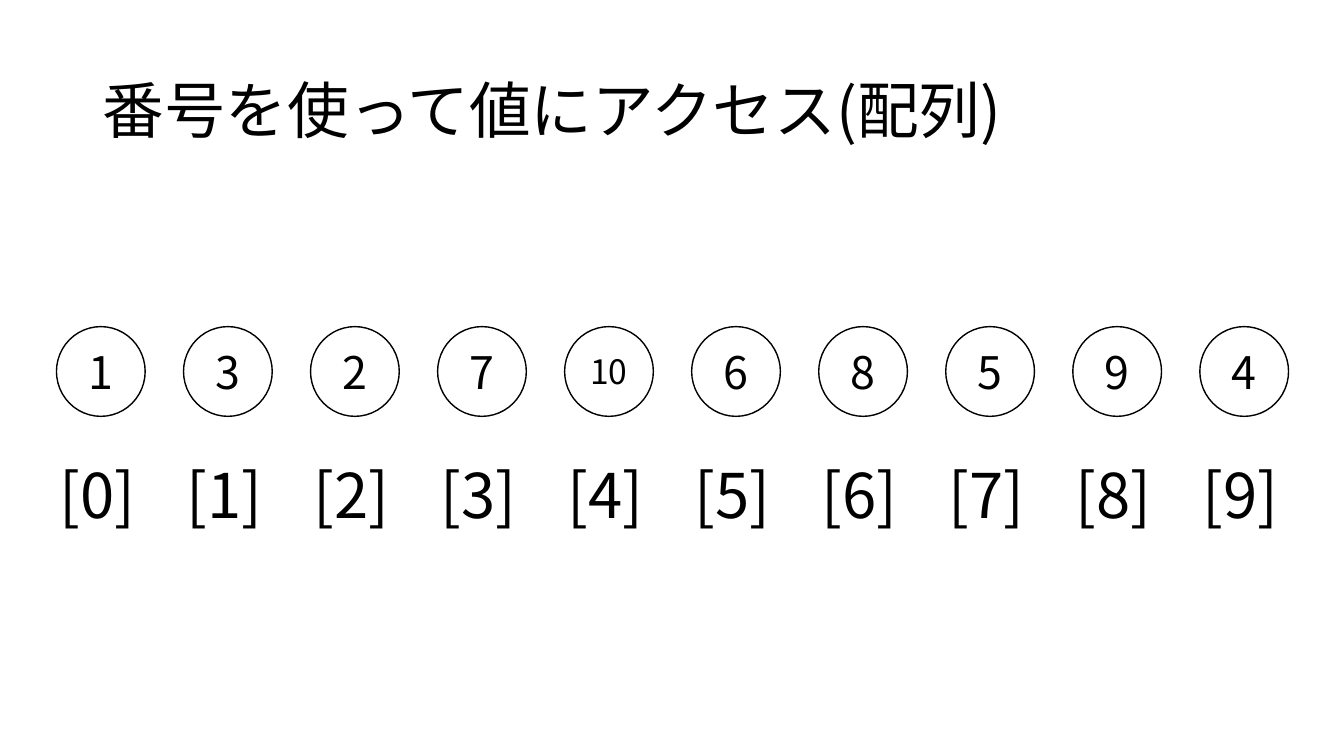
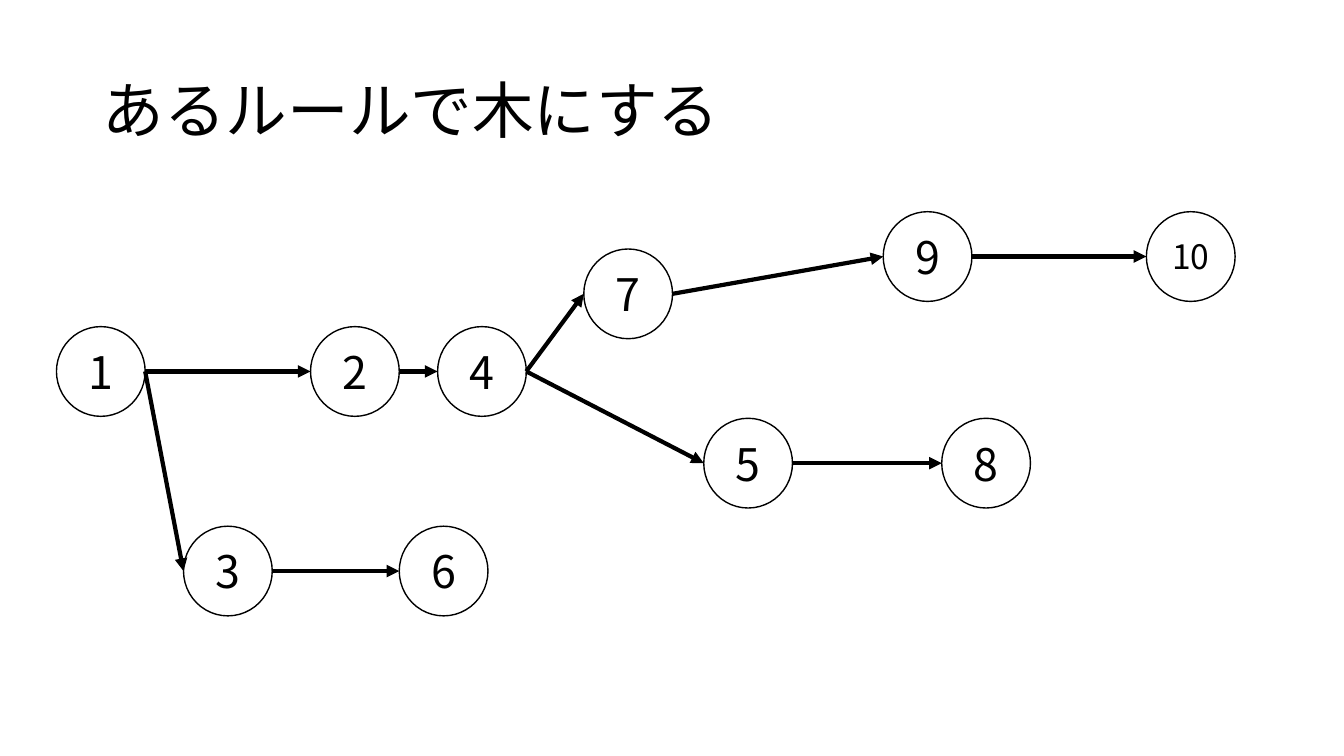
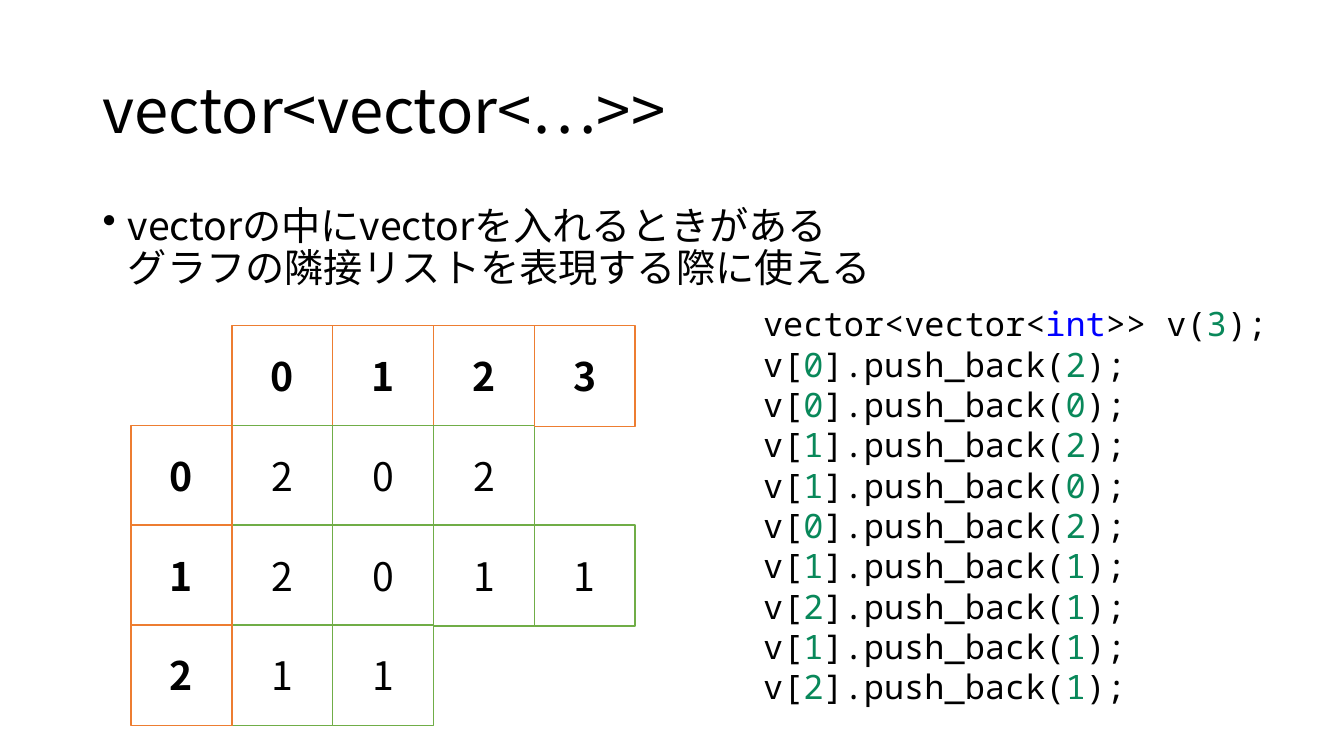
"""Builds three slides on arrays, trees and nested vectors."""
from dataclasses import dataclass

from pptx import Presentation
from pptx.dml.color import RGBColor
from pptx.enum.shapes import MSO_CONNECTOR, MSO_SHAPE
from pptx.enum.text import MSO_ANCHOR, PP_ALIGN
from pptx.oxml.xmlchemy import OxmlElement
from pptx.presentation import Presentation as Deck
from pptx.shapes.base import BaseShape
from pptx.slide import Slide
from pptx.util import Inches, Pt

BLACK = RGBColor(0x00, 0x00, 0x00)
WHITE = RGBColor(0xFF, 0xFF, 0xFF)
ORANGE = RGBColor(0xED, 0x7D, 0x31)
GREEN = RGBColor(0x70, 0xAD, 0x47)
KEYWORD_BLUE = RGBColor(0x00, 0x00, 0xFF)
NUMBER_GREEN = RGBColor(0x09, 0x88, 0x5A)

SANS = "Noto Sans CJK JP"
MONO = "Noto Sans Mono"

NODE_WIDTH, NODE_HEIGHT = 0.88, 0.89
ARRAY_LEFT, ARRAY_TOP, ARRAY_STEP = 0.56, 3.24, 1.26
GRID_LEFT, GRID_TOP = 1.3, 3.23
CELL_SIZE, ROW_STEP = 1.0, 0.99


@dataclass(frozen=True)
class Area:
    left: float
    top: float
    width: float
    height: float

    def lengths(self) -> tuple[Inches, Inches, Inches, Inches]:
        return Inches(self.left), Inches(self.top), Inches(self.width), Inches(self.height)


@dataclass(frozen=True)
class Node:
    value: int
    left: float
    top: float

    @property
    def middle(self) -> float:
        return self.top + NODE_HEIGHT / 2


@dataclass(frozen=True)
class Span:
    text: str
    color: RGBColor = BLACK


TITLE_AREA = Area(0.92, 0.4, 11.5, 1.45)
BULLET_AREA = Area(0.92, 2, 8.98, 4.76)
CODE_AREA = Area(7.47, 2.96, 5.43, 4.14)

ARRAY_VALUES = (1, 3, 2, 7, 10, 6, 8, 5, 9, 4)
TREE_NODES = (
    Node(1, 0.56, 3.24),
    Node(3, 1.82, 5.22),
    Node(2, 3.08, 3.24),
    Node(10, 11.37, 2.1),
    Node(7, 5.79, 2.47),
    Node(8, 9.34, 4.15),
    Node(4, 4.34, 3.24),
    Node(5, 6.98, 4.15),
    Node(6, 3.96, 5.22),
    Node(9, 8.76, 2.1),
)
TREE_EDGES = ((1, 3), (1, 2), (2, 4), (4, 7), (3, 6), (4, 5), (5, 8), (7, 9), (9, 10))
VECTOR_ROWS = ((2, 0, 2), (2, 0, 1, 1), (1, 1))
PUSHES = ((0, 2), (0, 0), (1, 2), (1, 0), (0, 2), (1, 1), (2, 1), (1, 1), (2, 1))


def format_text(shape: BaseShape, size: float, name: str = SANS, bold: bool = False) -> None:
    for paragraph in shape.text_frame.paragraphs:
        for run in paragraph.runs:
            run.font.size = Pt(size)
            run.font.bold = bold
            run.font.color.rgb = BLACK
            run.font.name = name
            east_asian = OxmlElement("a:ea")
            east_asian.set("typeface", name)
            run.font._element.append(east_asian)


def add_text(page: Slide, area: Area, text: str, size: float,
             anchor: MSO_ANCHOR = MSO_ANCHOR.TOP) -> BaseShape:
    box = page.shapes.add_textbox(*area.lengths())
    box.text_frame.word_wrap = True
    box.text_frame.vertical_anchor = anchor
    box.text_frame.text = text
    format_text(box, size)
    return box


def add_page(deck: Deck, title: str) -> Slide:
    page = deck.slides.add_slide(deck.slide_layouts[6])
    box = add_text(page, TITLE_AREA, title, 44, MSO_ANCHOR.MIDDLE)
    box.text_frame.paragraphs[0].line_spacing = 0.9
    return page


def add_outlined(page: Slide, kind: MSO_SHAPE, area: Area, text: str, size: float,
                 outline: RGBColor, bold: bool = False) -> None:
    shape = page.shapes.add_shape(kind, *area.lengths())
    shape.shadow.inherit = False
    shape.fill.solid()
    shape.fill.fore_color.rgb = WHITE
    shape.line.color.rgb = outline
    shape.line.width = Pt(1)
    shape.text_frame.text = text
    shape.text_frame.vertical_anchor = MSO_ANCHOR.MIDDLE
    shape.text_frame.paragraphs[0].alignment = PP_ALIGN.CENTER
    format_text(shape, size, bold=bold)


def add_node(page: Slide, node: Node) -> None:
    area = Area(node.left, node.top, NODE_WIDTH, NODE_HEIGHT)
    size = 32 if node.value < 10 else 24
    add_outlined(page, MSO_SHAPE.OVAL, area, str(node.value), size, BLACK)


def add_arrow(page: Slide, parent: Node, child: Node) -> None:
    arrow = page.shapes.add_connector(
        MSO_CONNECTOR.STRAIGHT,
        Inches(parent.left + NODE_WIDTH), Inches(parent.middle),
        Inches(child.left), Inches(child.middle),
    )
    arrow.line.color.rgb = BLACK
    arrow.line.width = Pt(3)
    head = OxmlElement("a:tailEnd")
    head.set("type", "triangle")
    arrow.line._get_or_add_ln().append(head)
    arrow._element.spPr.append(OxmlElement("a:effectLst"))


def add_cell(page: Slide, column: int, row: int, value: int) -> None:
    header = column == 0 or row == 0
    area = Area(GRID_LEFT + column * CELL_SIZE, GRID_TOP + row * ROW_STEP, CELL_SIZE, CELL_SIZE)
    outline = ORANGE if header else GREEN
    add_outlined(page, MSO_SHAPE.RECTANGLE, area, str(value), 28, outline, header)


def add_bullet(page: Slide, text: str) -> None:
    box = add_text(page, BULLET_AREA, text, 28)
    paragraph = box.text_frame.paragraphs[0]
    properties = paragraph._p.get_or_add_pPr()
    properties.set("marL", str(Inches(0.25)))
    properties.set("indent", str(Inches(-0.25)))
    bullet = OxmlElement("a:buChar")
    bullet.set("char", "•")
    properties.append(bullet)
    paragraph.line_spacing = 0.9


def push_line(index: int, value: int) -> tuple[Span, ...]:
    return (Span("v["), Span(str(index), NUMBER_GREEN), Span("].push_back("),
            Span(str(value), NUMBER_GREEN), Span(");"))


def add_code(page: Slide) -> None:
    declaration = (Span("vector<vector<"), Span("int", KEYWORD_BLUE), Span(">> v("),
                   Span("3", NUMBER_GREEN), Span(");"))
    lines = [declaration, *(push_line(*push) for push in PUSHES)]
    box = add_text(page, CODE_AREA, "\n".join("".join(span.text for span in line) for line in lines), 24)
    for paragraph, line in zip(box.text_frame.paragraphs, lines):
        paragraph.clear()
        for span in line:
            paragraph.add_run().text = span.text
    format_text(box, 24, MONO)
    for paragraph, line in zip(box.text_frame.paragraphs, lines):
        for run, span in zip(paragraph.runs, line):
            run.font.color.rgb = span.color


def build_array(deck: Deck) -> None:
    page = add_page(deck, "番号を使って値にアクセス(配列)")
    for index, value in enumerate(ARRAY_VALUES):
        left = ARRAY_LEFT + index * ARRAY_STEP
        add_node(page, Node(value, left, ARRAY_TOP))
        add_text(page, Area(left - 0.07, 4.48, 1.02, 0.84), f"[{index}]", 44)


def build_tree(deck: Deck) -> None:
    page = add_page(deck, "あるルールで木にする")
    nodes = {node.value: node for node in TREE_NODES}
    for node in TREE_NODES:
        add_node(page, node)
    for parent, child in TREE_EDGES:
        add_arrow(page, nodes[parent], nodes[child])


def build_vector(deck: Deck) -> None:
    page = add_page(deck, "vector<vector<…>>")
    add_bullet(page, "vectorの中にvectorを入れるときがある\vグラフの隣接リストを表現する際に使える")
    for column in range(max(map(len, VECTOR_ROWS))):
        add_cell(page, column + 1, 0, column)
        for row, values in enumerate(VECTOR_ROWS):
            if column < len(values):
                add_cell(page, column + 1, row + 1, values[column])
    for row in range(len(VECTOR_ROWS)):
        add_cell(page, 0, row + 1, row)
    add_code(page)


def main() -> None:
    deck = Presentation()
    deck.slide_width = Inches(13.33)
    deck.slide_height = Inches(7.5)
    build_array(deck)
    build_tree(deck)
    build_vector(deck)
    deck.save("out.pptx")


if __name__ == "__main__":
    main()
